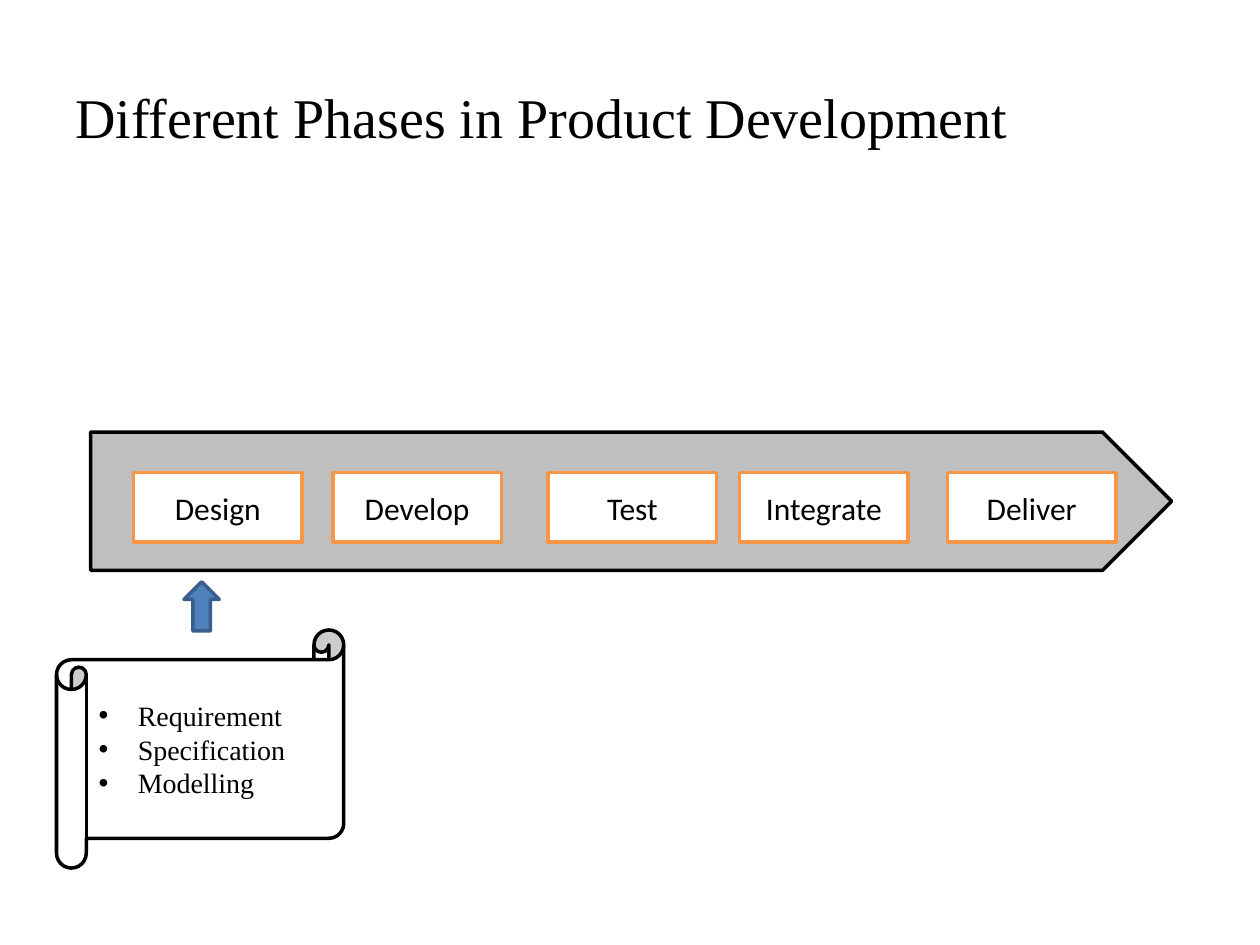
from lxml.etree import SubElement
from pptx import Presentation
from pptx.dml.color import RGBColor
from pptx.enum.shapes import MSO_SHAPE
from pptx.enum.text import MSO_ANCHOR, PP_ALIGN
from pptx.oxml.ns import qn
from pptx.util import Cm, Pt

# Content
TITLE = "Different Phases in Product Development"
PHASES = [  # name, left edge in cm
    ("Design", 2.69),
    ("Develop", 6.71),
    ("Test", 11.05),
    ("Integrate", 14.91),
    ("Deliver", 19.1),
]
TASKS = ["Requirement", "Specification", "Modelling"]

THEME = {
    "ink": "000000", "paper": "FFFFFF", "band": "BFBFBF",
    "edge": "F79646", "arrow": "4F81BD", "rim": "3A5F8C",
    "serif": "Times New Roman", "sans": "Calibri",
    "title": 32, "phase": 18, "task": 16, "line": 2,
}


def color(name):
    return RGBColor.from_string(THEME[name])


def add_form(slide, kind, box, fill, line):
    form = slide.shapes.add_shape(kind, *map(Cm, box))
    form.shadow.inherit = False
    form.fill.solid()
    form.fill.fore_color.rgb = color(fill)
    form.line.color.rgb = color(line)
    form.line.width = Pt(THEME["line"])
    return form


def write(shape, lines, face, size, align=PP_ALIGN.LEFT):
    frame = shape.text_frame
    frame.word_wrap = True
    frame.vertical_anchor = MSO_ANCHOR.MIDDLE
    frame.text = "\n".join(lines)
    for para in frame.paragraphs:
        para.alignment = align
        para.font.name = THEME[face]
        para.font.size = Pt(THEME[size])
        para.font.color.rgb = color("ink")
    return frame


def add_bullet(para, indent):
    props = para._p.get_or_add_pPr()
    props.set("marL", str(indent))
    props.set("indent", str(-indent))
    font = SubElement(props, qn("a:buFont"), typeface="Arial")
    mark = SubElement(props, qn("a:buChar"), char="•")
    props.insert(0, font)
    props.insert(1, mark)


def main():
    deck = Presentation()
    deck.slide_width, deck.slide_height = Cm(25.4), Cm(19.05)
    slide = deck.slides.add_slide(deck.slide_layouts[6])

    # Title
    head = slide.shapes.add_textbox(Cm(1.27), Cm(0.76), Cm(22.86), Cm(3.18))
    write(head, [TITLE], "serif", "title")

    # Process band with its phases
    add_form(slide, MSO_SHAPE.PENTAGON, (1.83, 8.71, 21.79, 2.79), "band", "ink")
    for name, left in PHASES:
        card = add_form(slide, MSO_SHAPE.RECTANGLE, (left, 9.53, 3.4, 1.4),
                        "paper", "edge")
        write(card, [name], "sans", "phase", PP_ALIGN.CENTER)

    # Arrow from the task scroll up to the first phase
    add_form(slide, MSO_SHAPE.UP_ARROW, (3.71, 11.73, 0.71, 0.99), "arrow", "rim")

    # Task scroll
    scroll = add_form(slide, MSO_SHAPE.HORIZONTAL_SCROLL, (1.14, 12.7, 5.79, 4.8),
                      "paper", "ink")
    for para in write(scroll, TASKS, "serif", "task").paragraphs:
        add_bullet(para, Cm(0.79))

    deck.save("out.pptx")


if __name__ == "__main__":
    main()
